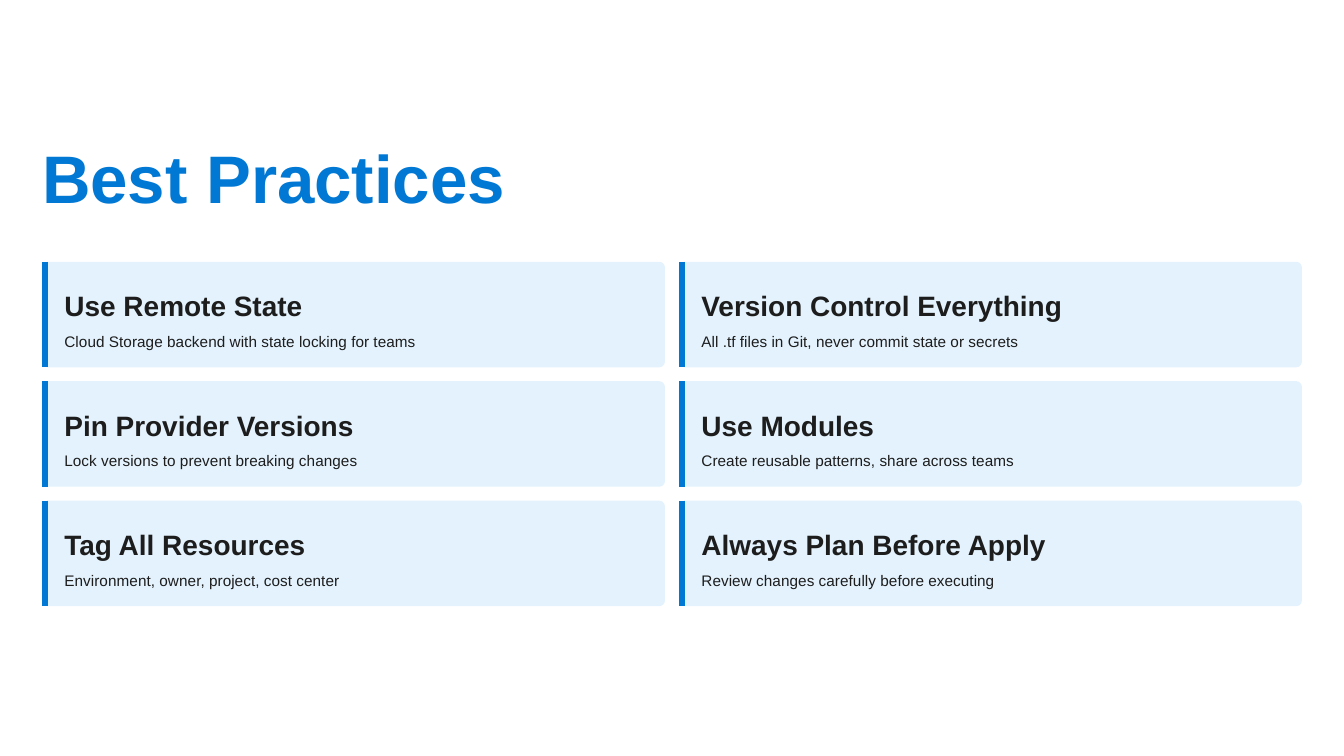
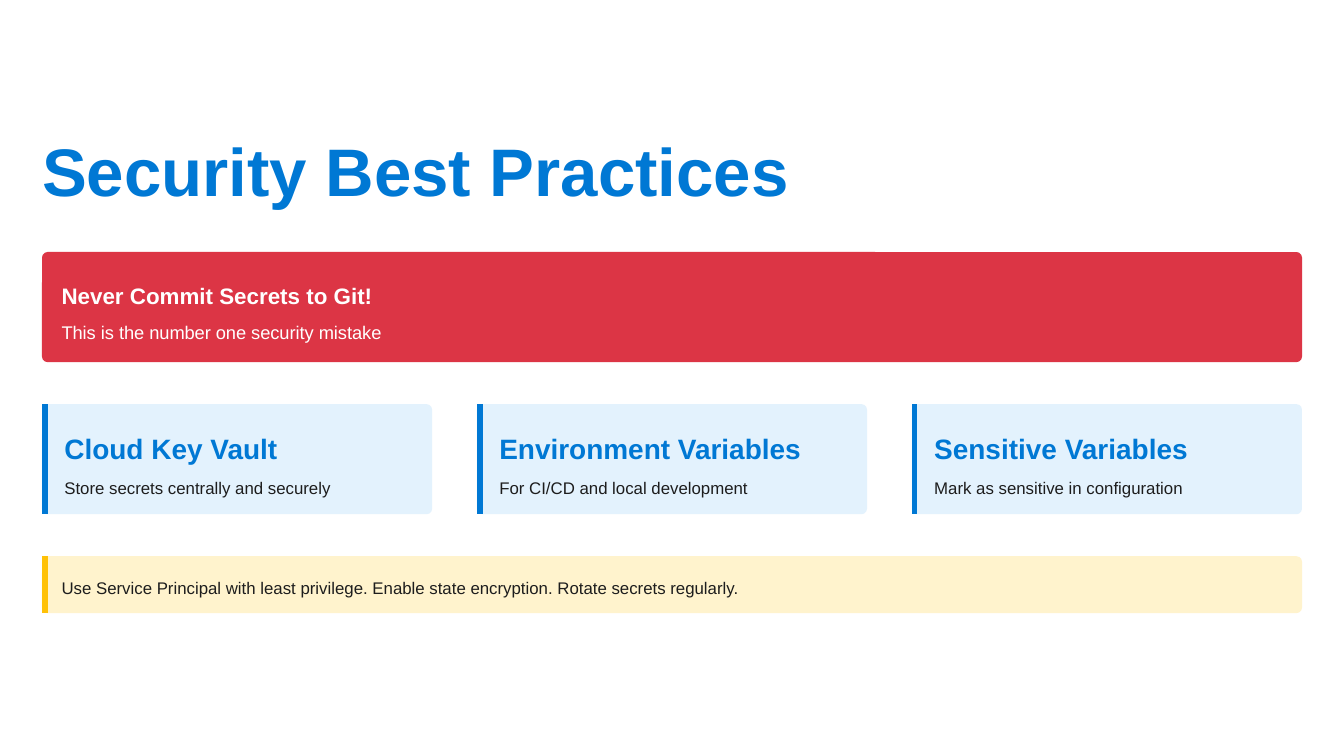
import pptx
import pptx.util
import pptx.dml.color
import pptx.enum.shapes
import pptx.enum.text
import pptx.oxml.ns
import lxml.etree

Pt = pptx.util.Pt

HUES = {
    "blue": "0078D4",
    "pale": "E3F2FD",
    "ink": "1D1D1D",
    "red": "DC3545",
    "white": "FFFFFF",
    "gold": "FFC107",
    "cream": "FFF3CD",
}
FONT = "Arial"
LEFT, WIDE = 22.5, 675
CURVE = 3
BAR = 3

TIPS = [
    ("Use Remote State", "Cloud Storage backend with state locking for teams"),
    ("Version Control Everything", "All .tf files in Git, never commit state or secrets"),
    ("Pin Provider Versions", "Lock versions to prevent breaking changes"),
    ("Use Modules", "Create reusable patterns, share across teams"),
    ("Tag All Resources", "Environment, owner, project, cost center"),
    ("Always Plan Before Apply", "Review changes carefully before executing"),
]
GUARDS = [
    ("Cloud Key Vault", "Store secrets centrally and securely"),
    ("Environment Variables", "For CI/CD and local development"),
    ("Sensitive Variables", "Mark as sensitive in configuration"),
]


def tint(name):
    return pptx.dml.color.RGBColor.from_string(HUES[name])


def style(shape, text, size, hue, bold, line, after):
    frame = shape.text_frame
    frame.text = text
    frame.word_wrap = True
    frame.auto_size = pptx.enum.text.MSO_AUTO_SIZE.NONE
    frame.vertical_anchor = pptx.enum.text.MSO_ANCHOR.TOP
    frame.margin_left = frame.margin_right = 0
    frame.margin_top = frame.margin_bottom = 0
    para = frame.paragraphs[0]
    para.alignment = pptx.enum.text.PP_ALIGN.LEFT
    para.line_spacing = Pt(line)
    para.space_before = Pt(0)
    para.space_after = Pt(after)
    font = para.runs[0].font
    font.name = FONT
    font.size = Pt(size)
    font.bold = bold
    font.color.rgb = tint(hue)


def label(slide, x, y, w, text, size, hue="ink", bold=False, after=0):
    line = round(size * 1.4, 1)
    box = slide.shapes.add_textbox(Pt(x), Pt(y), Pt(w), Pt(line))
    style(box, text, size, hue, bold, line, after)


def title(slide, text, y, w, after):
    head = slide.shapes.title
    head.left, head.top = Pt(LEFT), Pt(y)
    head.width, head.height = Pt(w), Pt(36)
    style(head, text, 36, "blue", True, 36, after)


def panel(slide, box, fill, edge=None):
    x, y, w, h = box
    kind = pptx.enum.shapes.MSO_SHAPE.ROUNDED_RECTANGLE
    shape = slide.shapes.add_shape(kind, Pt(x), Pt(y), Pt(w), Pt(h))
    shape.adjustments[0] = CURVE / h
    shape.shadow.inherit = False
    shape.fill.solid()
    shape.fill.fore_color.rgb = tint(fill)
    shape.line.fill.background()
    if edge:
        mid = Pt(x + BAR / 2)
        kind = pptx.enum.shapes.MSO_CONNECTOR.STRAIGHT
        bar = slide.shapes.add_connector(kind, mid, Pt(y), mid, Pt(y + h))
        bar.line.color.rgb = tint(edge)
        bar.line.width = Pt(BAR)
        props = bar._element.spPr
        lxml.etree.SubElement(props, pptx.oxml.ns.qn("a:effectLst"))


def card(slide, box, pair, hue, size, drop, after):
    x, y, w, h = box
    panel(slide, box, "pale", "blue")
    label(slide, x + 12, y + 11.5, w - 15, pair[0], 15, hue, True, after)
    label(slide, x + 12, y + drop, w - 15, pair[1], size)


def grid(slide, box, pairs, cols, gap_x, gap_y, **look):
    x, y, w, h = box
    rows = len(pairs) // cols
    wide = (w - gap_x * (cols - 1)) / cols
    high = (h - gap_y * (rows - 1)) / rows
    for spot, pair in enumerate(pairs):
        row, col = divmod(spot, cols)
        cell = (x + col * (wide + gap_x), y + row * (high + gap_y), wide, high)
        card(slide, cell, pair, **look)


def alert(slide, box, head, text):
    x, y, w, h = box
    panel(slide, box, "red")
    label(slide, x + 10.5, y + 13.5, w - 7.5, head, 12, "white", True, 4.5)
    label(slide, x + 10.5, y + 35.25, w - 7.5, text, 9.75, "white")


def note(slide, box, text):
    x, y, w, h = box
    panel(slide, box, "cream", "gold")
    label(slide, x + 10.5, y + 9.75, w - 4.5, text, 9)


def habits(slide):
    title(slide, "Best Practices", 80, 345, 12)
    grid(slide, (LEFT, 140.25, WIDE, 184.5), TIPS, 2, 7.5, 7.5,
         hue="ink", size=8.25, drop=36, after=3)


def safety(slide):
    title(slide, "Security Best Practices", 76.25, 408, 10.5)
    alert(slide, (LEFT, 135, WIDE, 59), "Never Commit Secrets to Git!",
          "This is the number one security mistake")
    grid(slide, (LEFT, 216.5, WIDE, 59), GUARDS, 3, 24, 0,
         hue="blue", size=9, drop=37.5, after=4.5)
    note(slide, (LEFT, 298, WIDE, 30.5),
         "Use Service Principal with least privilege. "
         "Enable state encryption. Rotate secrets regularly.")


def main():
    deck = pptx.Presentation()
    deck.slide_width, deck.slide_height = Pt(720), Pt(405)
    for build in (habits, safety):
        build(deck.slides.add_slide(deck.slide_layouts[5]))
    deck.save("out.pptx")


if __name__ == "__main__":
    main()
